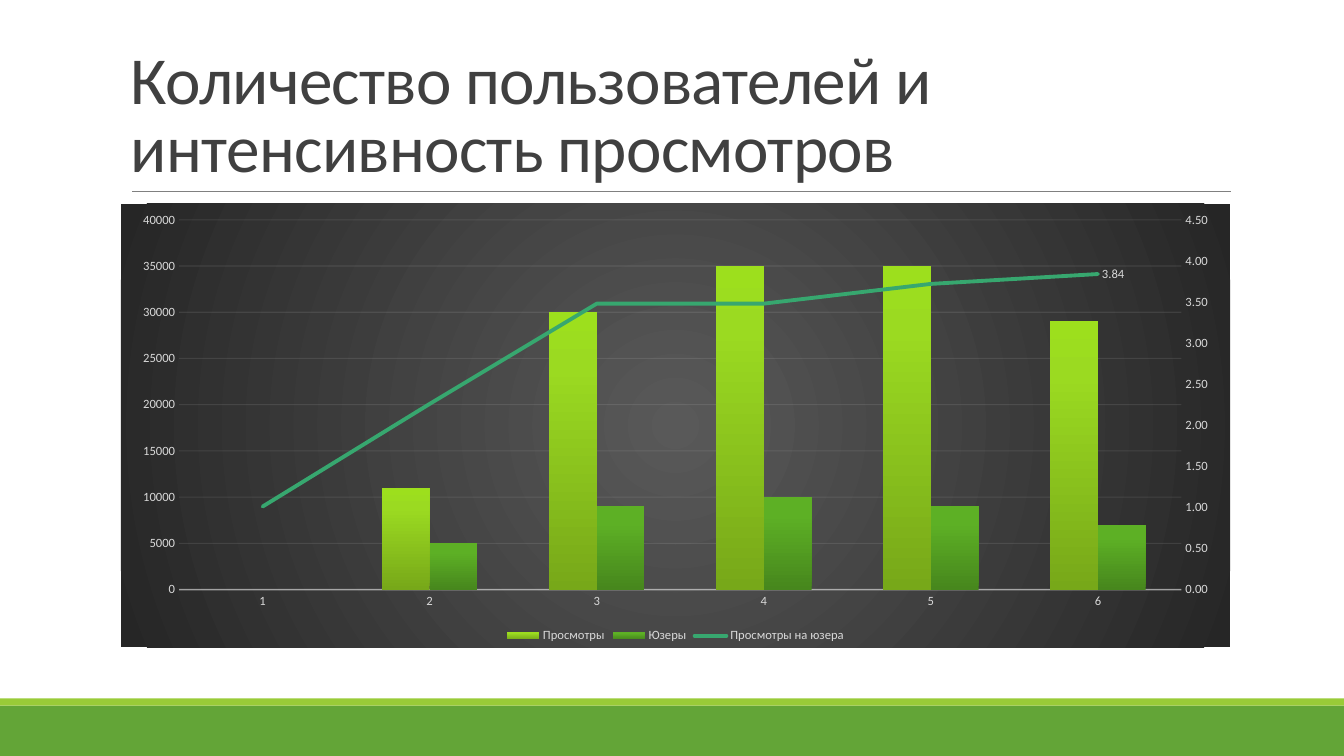
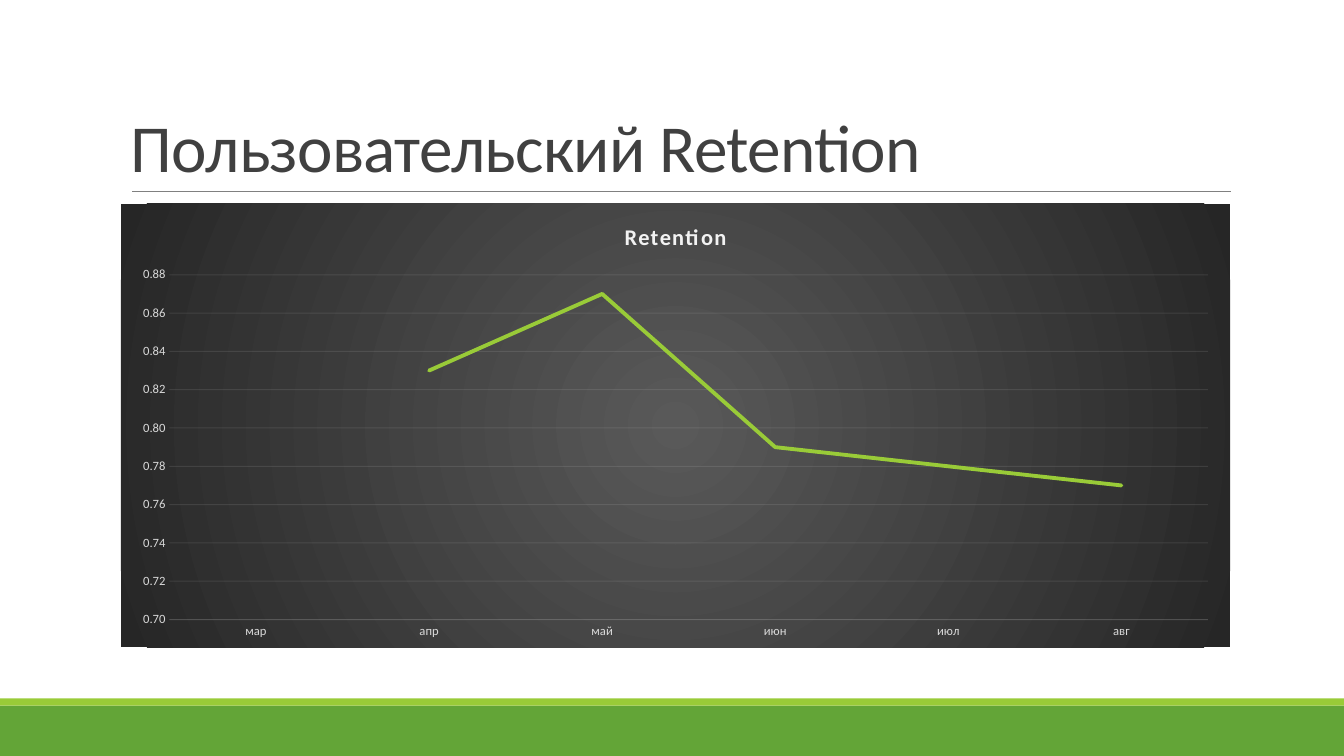
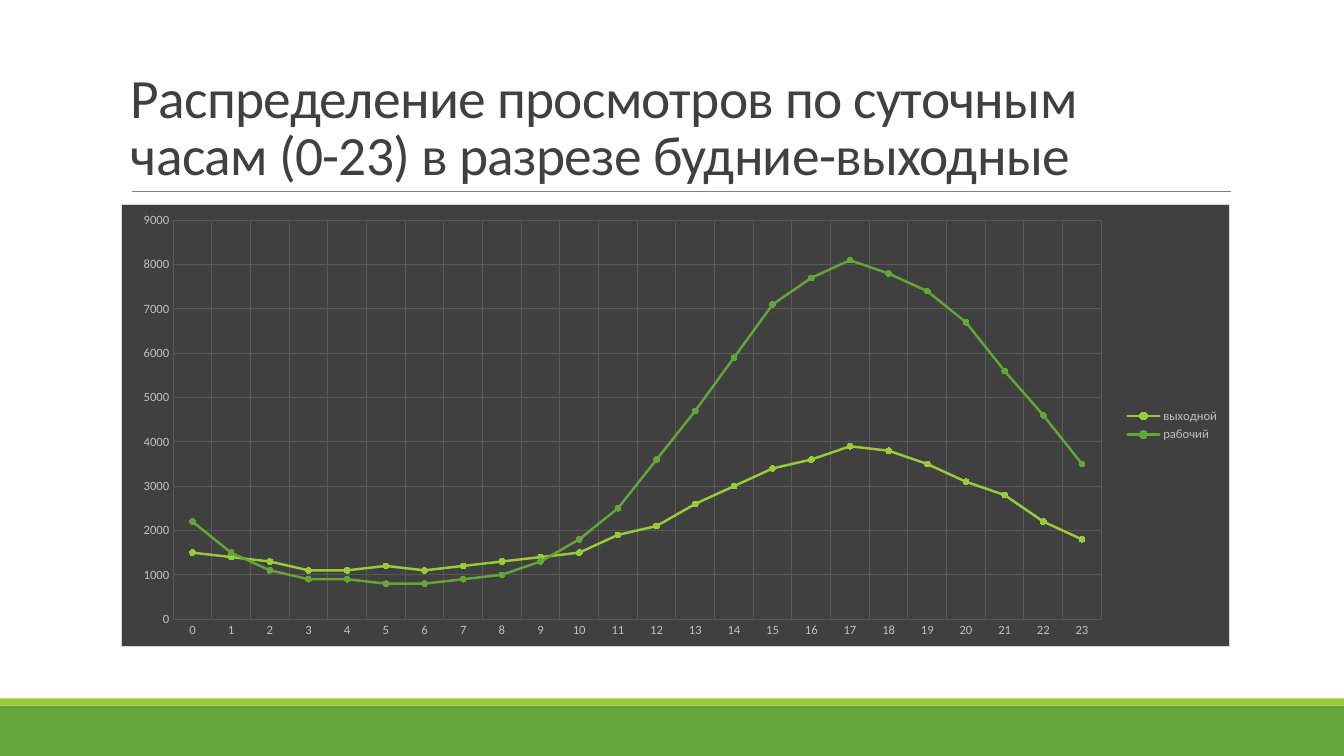
from copy import deepcopy

from lxml import etree
from pptx import Presentation
from pptx.chart.axis import ValueAxis
from pptx.chart.data import CategoryChartData
from pptx.dml.color import RGBColor
from pptx.enum.chart import XL_CHART_TYPE, XL_LEGEND_POSITION, XL_MARKER_STYLE, XL_TICK_MARK
from pptx.enum.shapes import MSO_CONNECTOR, MSO_SHAPE
from pptx.enum.text import MSO_ANCHOR
from pptx.oxml import parse_xml
from pptx.oxml.ns import nsdecls, qn
from pptx.util import Inches, Pt

COLUMNS = XL_CHART_TYPE.COLUMN_CLUSTERED
LINES = XL_CHART_TYPE.LINE
MARKED_LINES = XL_CHART_TYPE.LINE_MARKERS
LEGEND_BOTTOM = XL_LEGEND_POSITION.BOTTOM
LEGEND_RIGHT = XL_LEGEND_POSITION.RIGHT
NO_MARKER = XL_MARKER_STYLE.NONE
ROUND_MARKER = XL_MARKER_STYLE.CIRCLE
NO_TICK = XL_TICK_MARK.NONE
STRAIGHT = XL = MSO_CONNECTOR.STRAIGHT
RECTANGLE = MSO_SHAPE.RECTANGLE
BOTTOM = MSO_ANCHOR.BOTTOM

FONT = "Calibri"
COLORS = {
    "band": "63A537", "stripe": "99CB38", "rule": "808080", "title": "404040",
    "text": "000000", "label": "D9D9D9", "pale": "F2F2F2", "muted": "BFBFBF",
    "panel": "404040", "grid": "595959", "lime": "99CB38", "green": "63A537",
    "teal": "37A76F",
}
PANEL_STOPS = [(0, "595959"), (100, "262626")]
VIEW_STOPS = [(0, "77A819"), (80, "9BDA21"), (100, "9DDF1D")]
USER_STOPS = [(0, "47871D"), (80, "5DB025"), (100, "5DB323")]
UPWARD = '<a:lin ang="16200000" scaled="0"/>'
FROM_CENTRE = ('<a:path path="circle"><a:fillToRect l="50000" t="50000" '
               'r="50000" b="50000"/></a:path>')

AUDIENCE = {
    "title": "Количество пользователей и интенсивность просмотров",
    "categories": ["1", "2", "3", "4", "5", "6"],
    "series": [
        ("Просмотры", [0, 11000, 30000, 35000, 35000, 29000]),
        ("Юзеры", [0, 5000, 9000, 10000, 9000, 7000]),
        ("Просмотры на юзера", [1.01, 2.26, 3.48, 3.48, 3.72, 3.84]),
    ],
}
RETENTION = {
    "title": "Пользовательский Retention",
    "categories": ["мар", "апр", "май", "июн", "июл", "авг"],
    "series": [("Retention", [None, 0.83, 0.87, 0.79, 0.78, 0.77])],
}
HOURS = {
    "title": "Распределение просмотров по суточным часам (0-23) в разрезе будние-выходные",
    "categories": [str(hour) for hour in range(24)],
    "series": [
        ("выходной", [1500, 1400, 1300, 1100, 1100, 1200, 1100, 1200, 1300, 1400, 1500, 1900,
                      2100, 2600, 3000, 3400, 3600, 3900, 3800, 3500, 3100, 2800, 2200, 1800]),
        ("рабочий", [2200, 1500, 1100, 900, 900, 800, 800, 900, 1000, 1300, 1800, 2500,
                     3600, 4700, 5900, 7100, 7700, 8100, 7800, 7400, 6700, 5600, 4600, 3500]),
    ],
}


def rgb(name):
    """Return the named colour."""
    return RGBColor.from_string(COLORS[name])


def style_font(font, size, color):
    """Set typeface, size and colour."""
    font.name, font.size = FONT, Pt(size)
    font.color.rgb = rgb(color)


def style_line(line, color, width, opacity=100):
    """Set colour, width and opacity of a line."""
    line.color.rgb, line.width = rgb(color), Pt(width)
    if opacity < 100:
        for tone in line._ln.iter(qn("a:srgbClr")):
            etree.SubElement(tone, qn("a:alpha")).set("val", str(opacity * 1000))


def gradient(stops, direction):
    """Build a gradient fill element."""
    marks = "".join(f'<a:gs pos="{place * 1000}"><a:srgbClr val="{tone}"/></a:gs>'
                    for place, tone in stops)
    return parse_xml(f'<a:gradFill {nsdecls("a")} rotWithShape="1"><a:gsLst>{marks}</a:gsLst>'
                     f'{direction}</a:gradFill>')


def solid(color):
    """Build a solid fill element."""
    return parse_xml(f'<a:solidFill {nsdecls("a")}><a:srgbClr val="{COLORS[color]}"/>'
                     '</a:solidFill>')


def add_page(deck, title, size):
    """Add a slide with the shared bands, rule and title."""
    page = deck.slides.add_slide(deck.slide_layouts[6])
    for color, top, height in (("band", 7, 0.5), ("stripe", 6.93, 0.07)):
        band = page.shapes.add_shape(RECTANGLE, 0, Inches(top), deck.slide_width, Inches(height))
        band.shadow.inherit = False
        band.fill.solid()
        band.fill.fore_color.rgb = rgb(color)
        band.line.fill.background()
    rule = page.shapes.add_connector(STRAIGHT, Inches(1.31), Inches(1.9),
                                     Inches(12.21), Inches(1.9))
    style_line(rule.line, "rule", 0.5)
    etree.SubElement(rule._element.spPr, qn("a:effectLst"))
    box = page.shapes.add_textbox(Inches(1.2), Inches(0.31), Inches(11), Inches(1.59))
    box.text_frame.word_wrap = True
    box.text_frame.vertical_anchor = BOTTOM
    para = box.text_frame.paragraphs[0]
    para.line_spacing = 0.85
    span = para.add_run()
    span.text = title
    style_font(span.font, size, "title")
    span.font._element.set("spc", "-50")
    return page


def add_chart(page, kind, content, fill, border=None):
    """Add a chart on a filled panel."""
    data = CategoryChartData()
    data.categories = content["categories"]
    for name, values in content["series"]:
        data.add_series(name, values)
    chart = page.shapes.add_chart(kind, Inches(1.2), Inches(2.02), Inches(11), Inches(4.4),
                                  data).chart
    style_font(chart.font, 10, "text")
    chart.has_title = chart.has_legend = False
    chart.plots[0].vary_by_categories = False
    panel = parse_xml(f'<c:spPr {nsdecls("c", "a")}/>')
    panel.append(fill)
    edge = etree.SubElement(panel, qn("a:ln"))
    edge.set("w", str(Pt(0.75)))
    edge.append(solid(border) if border else etree.Element(qn("a:noFill")))
    chart.element.find(qn("c:chart")).addnext(panel)
    return chart


def style_axes(chart, color, top, step, bottom=0, number_format="General"):
    """Set labels and ticks of both axes and the value scale."""
    for axis in (chart.category_axis, chart.value_axis):
        axis.major_tick_mark = axis.minor_tick_mark = NO_TICK
        style_font(axis.tick_labels.font, 9, color)
        axis.format.line.fill.background()
    values = chart.value_axis
    set_scale(values, bottom, top, step, number_format)
    values.has_major_gridlines = True


def set_scale(axis, bottom, top, step, number_format):
    """Set range, step and number format of a value axis."""
    axis.minimum_scale, axis.maximum_scale, axis.major_unit = bottom, top, step
    axis.tick_labels.number_format = number_format
    axis.tick_labels.number_format_is_linked = False


def add_legend(chart, position, color):
    """Show the legend beside the plot."""
    chart.has_legend = True
    chart.legend.position = position
    chart.legend.include_in_layout = False
    style_font(chart.legend.font, 9, color)


def style_series(series, color, width, marker=NO_MARKER):
    """Draw a series as a straight line."""
    style_line(series.format.line, color, width)
    series.format.line._ln.set("cap", "rnd")
    series.smooth = False
    series.marker.style = marker
    if marker != NO_MARKER:
        series.marker.size = 4
        series.marker.format.fill.solid()
        series.marker.format.fill.fore_color.rgb = rgb(color)
        style_line(series.marker.format.line, color, 0.75)


def move_last_to_right_axis(chart):
    """Turn the last column series into a line on a second axis."""
    columns = chart.plots[0]._element
    series = columns.findall(qn("c:ser"))[-1]
    for flag in series.findall(qn("c:invertIfNegative")):
        series.remove(flag)
    lines = parse_xml(f'<c:lineChart {nsdecls("c")}><c:grouping val="standard"/>'
                      '<c:varyColors val="0"/><c:marker val="1"/>'
                      '<c:axId val="5001"/><c:axId val="5002"/></c:lineChart>')
    lines.insert(2, series)
    columns.addnext(lines)
    last = chart.value_axis._element
    for axis, own, other, side in ((chart.category_axis, "5001", "5002", "b"),
                                   (chart.value_axis, "5002", "5001", "r")):
        twin = deepcopy(axis._element)
        for tag, value in (("axId", own), ("crossAx", other), ("axPos", side)):
            twin.find(qn(f"c:{tag}")).set("val", value)
        for grid in twin.findall(qn("c:majorGridlines")):
            twin.remove(grid)
        last.addnext(twin)
        last = twin
        if side == "b":
            twin.find(qn("c:delete")).set("val", "1")
    last.find(qn("c:crosses")).set("val", "max")
    set_scale(ValueAxis(last), 0, 4.5, 0.5, "0.00")


def add_audience(deck):
    """Views and users as columns, views per user as a line."""
    page = add_page(deck, AUDIENCE["title"], 48)
    chart = add_chart(page, COLUMNS, AUDIENCE, gradient(PANEL_STOPS, FROM_CENTRE))
    chart.plots[0].gap_width = 150
    style_axes(chart, "label", 40000, 5000)
    style_line(chart.value_axis.major_gridlines.format.line, "pale", 0.75, 10)
    move_last_to_right_axis(chart)
    style_line(chart.category_axis.format.line, "pale", 1, 54)
    views, users, ratio = chart.series
    for series, stops in ((views, VIEW_STOPS), (users, USER_STOPS)):
        series._element.get_or_add_spPr().insert(0, gradient(stops, UPWARD))
    style_series(ratio, "teal", 2.75)
    ratio.data_labels.show_value = False
    style_font(ratio.points[len(AUDIENCE["categories"]) - 1].data_label.font, 9, "label")
    add_legend(chart, LEGEND_BOTTOM, "label")


def add_retention(deck):
    """Monthly retention as one line."""
    page = add_page(deck, RETENTION["title"], 48)
    chart = add_chart(page, LINES, RETENTION, gradient(PANEL_STOPS, FROM_CENTRE))
    style_axes(chart, "label", 0.88, 0.02, 0.7, "0.00")
    for part in (chart.category_axis, chart.value_axis.major_gridlines):
        style_line(part.format.line, "pale", 0.75, 10)
    style_series(chart.series[0], "lime", 2.75)
    chart.has_title = True
    span = chart.chart_title.text_frame.paragraphs[0].add_run()
    span.text = "Retention"
    style_font(span.font, 16, "pale")
    span.font.bold = True
    span.font._element.set("spc", "100")
    chart.chart_title.include_in_layout = False


def add_hours(deck):
    """Views by hour for weekends and working days."""
    page = add_page(deck, HOURS["title"], 39.6)
    chart = add_chart(page, MARKED_LINES, HOURS, solid("panel"), "label")
    style_axes(chart, "muted", 9000, 1000)
    for axis in (chart.category_axis, chart.value_axis):
        axis.has_major_gridlines = True
        style_line(axis.major_gridlines.format.line, "grid", 0.75)
    for series, color in zip(chart.series, ("lime", "green")):
        style_series(series, color, 1.75, ROUND_MARKER)
    add_legend(chart, LEGEND_RIGHT, "muted")


deck = Presentation()
deck.slide_width, deck.slide_height = Inches(13.33), Inches(7.5)
add_audience(deck)
add_retention(deck)
add_hours(deck)
deck.save("out.pptx")
